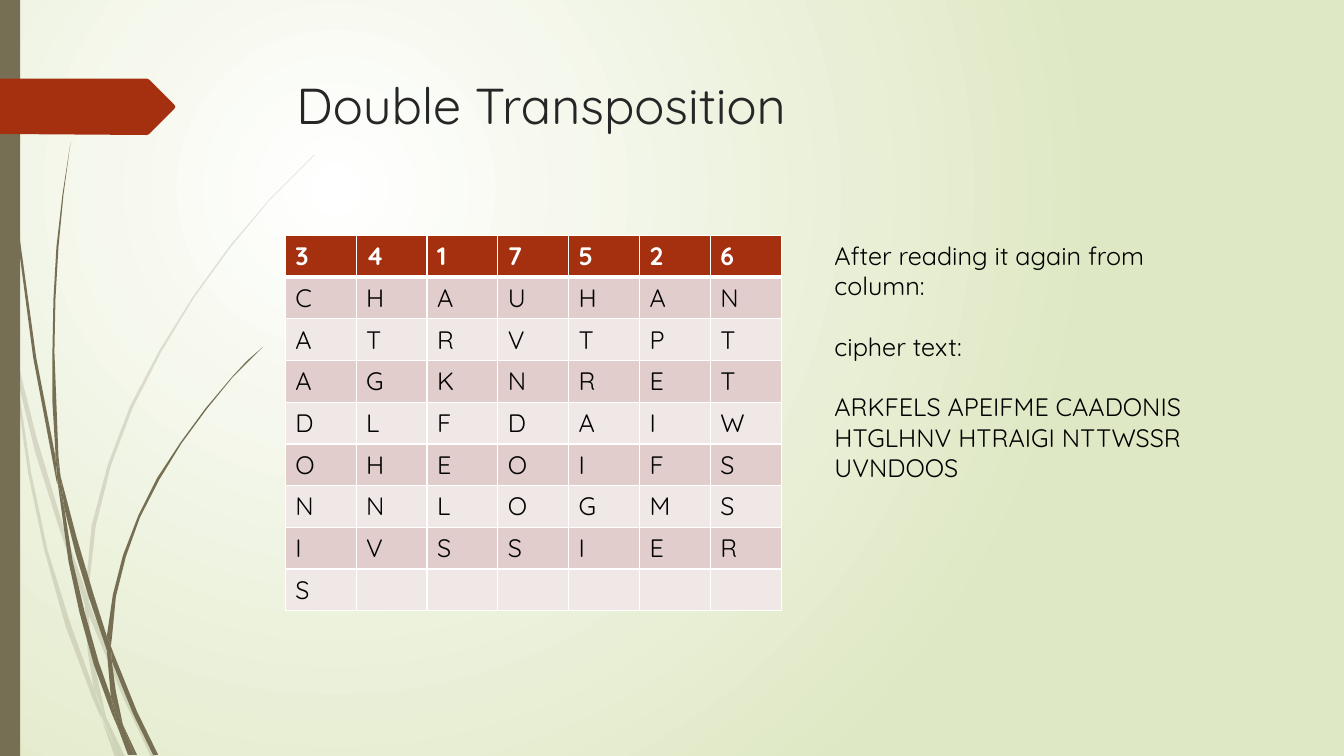
from lxml import etree
from pptx import Presentation
from pptx import util as u
from pptx.dml.color import RGBColor
from pptx.enum import shapes, text
from pptx.oxml import parse_xml
from pptx.oxml.ns import nsdecls, qn

GRID = u.Inches(0.1)  # side of one grid cell: a column and a row alike
COLUMNS, ROWS = 133.33, 75
FONT = "Quicksand"

WHITE = RGBColor(0xFF, 0xFF, 0xFF)
BLACK = RGBColor(0x00, 0x00, 0x00)
TITLE_GREY = RGBColor(0x26, 0x26, 0x26)
PALE_GREEN = RGBColor(0xDF, 0xE8, 0xC4)
OLIVE = RGBColor(0x76, 0x6F, 0x54)
RUST = RGBColor(0xA5, 0x30, 0x10)
BAND_DARK = RGBColor(0xE1, 0xCD, 0xCC)
BAND_LIGHT = RGBColor(0xF0, 0xE8, 0xE7)

# Outlines of the grass pieces: (column, row) corners
FAINT_GRASS = [
    [(1.1, 35), (0.9, 32.2), (0, 28.2), (0, 29.9), (1, 34.4)],
    [(5.8, 52.2), (8.4, 59.9), (8.5, 58.6), (6.2, 52), (3.6, 43.3),
     (1.4, 34.5), (1.7, 37.6), (3.5, 44.9)],
    [(9.2, 60.7), (8.8, 59.6), (8.8, 61), (12.3, 69.4), (15, 75.1),
     (15.5, 75.1), (12.7, 69.2)],
    [(11.9, 75.1), (12.4, 75.1), (10.5, 71.1)],
    [(9.3, 68.3), (7, 61.9), (4.7, 54.5), (3.1, 46.9), (1.7, 37.6), (1.1, 35),
     (2.8, 47), (4.4, 54.6), (6.5, 62.1), (9.2, 69.3), (10.1, 71.4), (9.9, 70.7)],
    [(8.4, 59.9), (8.7, 64.6), (9.3, 68.3), (10.5, 71.1), (9.1, 64.6),
     (8.8, 61), (8.8, 60.8)],
    [(8.8, 58.4), (9.5, 52.2), (11, 46.2), (13.2, 40.4), (16, 34.9),
     (19.2, 29.6), (22.9, 24.5), (26.8, 19.8), (31.2, 15.4), (31.2, 15.3),
     (26.8, 19.7), (22.8, 24.4), (19.1, 29.5), (15.8, 34.8), (12.9, 40.3),
     (10.7, 46.1), (9.1, 52.1), (8.5, 58.4), (8.8, 59.6)],
    [(10.1, 71.4), (11.4, 75.1), (11.9, 75.1)],
    [(8.8, 60.8), (8.8, 59.6), (8.5, 58.6), (8.4, 59.9)],
    [(9.6, 69.2), (9.3, 68.3), (9.9, 70.7), (11.9, 75.1), (10.5, 71.1)],
]
DARK_GRASS = [
    [(0.7, 11), (1.7, 23.3), (3.3, 35.5), (5.6, 47.7), (5.7, 48.1),
     (5.5, 45.3), (3.6, 35.5), (1.9, 23.2), (0.8, 10.9), (0.5, 4.8), (0.4, 0),
     (0.3, 0), (0.4, 4.8)],
    [(8.8, 59.2), (10.6, 64.5), (10.6, 63.1), (9.3, 59), (7.6, 53.3),
     (6, 47.2), (6.4, 50.5), (7.5, 54.9)],
    [(11.3, 64.9), (11, 64.1), (11.1, 65.6), (13.2, 70.8), (15.2, 74.9),
     (15.7, 74.9), (13.6, 70.6)],
    [(11, 69.1), (9.8, 65.7), (8.4, 60.7), (7.2, 55.6), (6.4, 50.5),
     (5.7, 47.7), (6.8, 55.7), (7.9, 60.8), (9.3, 65.9), (11.1, 70.8),
     (11.7, 72.2), (11.6, 71.7)],
    [(6, 47.2), (5.8, 45.3), (5.4, 34.9), (5.5, 29.7), (5.8, 24.5),
     (6.3, 19.3), (7, 14.1), (6.2, 19.3), (5.6, 24.5), (5.3, 29.7),
     (5.2, 34.9), (5.2, 39.9), (5.5, 44.9)],
    [(13.3, 74.9), (13.6, 74.9), (12.2, 71.9)],
    [(5.7, 47.7), (6.4, 50.5), (6, 47.2), (5.5, 44.9), (5.5, 45.3)],
    [(11.1, 63.3), (11.5, 59.2), (12.5, 55.2), (13.9, 51.3), (15.8, 47.6),
     (18, 44), (20.5, 40.6), (23.1, 37.4), (26.1, 34.4), (24.5, 35.8),
     (23.1, 37.3), (20.4, 40.5), (17.9, 43.9), (15.6, 47.4), (13.7, 51.2),
     (12.2, 55.1), (11.2, 59), (10.6, 63.1), (11, 64.1)],
    [(11.7, 72.2), (12.7, 74.9), (13.1, 74.9)],
    [(10.6, 64.5), (11, 69.1), (11.6, 70.6), (12.2, 71.9), (11.5, 68.6),
     (11.1, 65.6), (10.9, 65.1)],
    [(10.6, 64.5), (11.1, 65.6), (11, 64.1), (10.6, 63.1)],
    [(11.6, 70.6), (11, 69.1), (11.7, 72.2), (13, 74.9), (13.3, 74.9),
     (12.2, 71.9)],
]
ARROW = [(17.3, 10.8), (14.8, 13.3), (14.6, 13.4), (0, 13.3), (0, 7.8),
         (14.6, 7.8), (14.8, 7.9), (17.3, 10.4), (17.4, 10.6)]

CIPHER_ROWS = ["3417526", "CHAUHAN", "ATRVTPT", "AGKNRET", "DLFDAIW",
               "OHEOIFS", "NNLOGMS", "IVSSIER", "S"]
EXPLANATION = ["After reading it again from column:", "cipher text:",
               "ARKFELS APEIFME CAADONIS HTGLHNV HTRAIGI NTTWSSR UVNDOOS"]


def cells(*counts):
    """Turn counts of grid cells into lengths."""
    return [u.Emu(round(count * GRID)) for count in counts]


def write(frame, paragraphs, size=18, color=BLACK, bold=False, gap=0):
    """Fill a text frame; gap is the space in points between paragraphs."""
    frame.word_wrap = True
    for index, content in enumerate(paragraphs):
        paragraph = frame.paragraphs[0] if index == 0 else frame.add_paragraph()
        paragraph.alignment = text.PP_ALIGN.LEFT
        paragraph.space_before = u.Pt(gap if index else 0)
        run = paragraph.add_run()
        run.text = content
        run.font.name = FONT
        run.font.size = u.Pt(size)
        run.font.bold = bold
        run.font.color.rgb = color


class SlideBuilder:
    def __init__(self, presentation):
        self.slide = presentation.slides.add_slide(presentation.slide_layouts[5])
        self.shapes = self.slide.shapes

    def radial_background(self, inner, outer):
        self.slide.background.fill.solid()
        solid = next(self.slide.element.iter(qn("a:solidFill")))
        solid.getparent().replace(solid, parse_xml(
            f'<a:gradFill {nsdecls("a")} rotWithShape="1"><a:gsLst>'
            f'<a:gs pos="0"><a:srgbClr val="{inner}"/></a:gs>'
            f'<a:gs pos="100000"><a:srgbClr val="{outer}"/></a:gs></a:gsLst>'
            '<a:path path="circle"><a:fillToRect l="50000" t="50000" '
            'r="100000" b="100000"/></a:path></a:gradFill>'))

    def paint(self, shape, color, opacity=100):
        shape.shadow.inherit = False
        shape.fill.solid()
        shape.fill.fore_color.rgb = color
        shape.line.fill.background()
        if opacity < 100:
            tint = next(shape.element.spPr.iter(qn("a:srgbClr")))
            etree.SubElement(tint, qn("a:alpha"), val=str(opacity * 1000))

    def outline(self, corners, color, opacity=100):
        start, *others = [cells(*corner) for corner in corners]
        builder = self.shapes.build_freeform(*start)
        builder.add_line_segments(others, close=True)
        self.paint(builder.convert_to_shape(), color, opacity)

    def bar(self, box, color):
        kind = shapes.MSO_SHAPE.RECTANGLE
        self.paint(self.shapes.add_shape(kind, *cells(*box)), color)

    def title(self, content, box):
        title = self.shapes.title
        title.left, title.top, title.width, title.height = cells(*box)
        title.text_frame.vertical_anchor = text.MSO_ANCHOR.TOP
        title.text_frame.auto_size = text.MSO_AUTO_SIZE.NONE
        write(title.text_frame, [content], size=36, color=TITLE_GREY)

    def text_box(self, paragraphs, box, **style):
        write(self.shapes.add_textbox(*cells(*box)).text_frame, paragraphs, **style)

    def borders(self, cell, **widths):
        properties = cell._tc.get_or_add_tcPr()
        for side in "LRTB":
            properties.append(parse_xml(
                f'<a:ln{side} {nsdecls("a")} w="{u.Pt(widths.get(side, 1))}">'
                f'<a:solidFill><a:srgbClr val="{WHITE}"/></a:solidFill></a:ln{side}>'))

    def table(self, rows, box):
        """Draw one letter per cell under a header row of digits."""
        count = len(rows[0])
        table = self.shapes.add_table(len(rows), count, *cells(*box)).table
        for column in table.columns:
            column.width, = cells(box[2] / count)
        for index, letters in enumerate(rows):
            table.rows[index].height, = cells(box[3] / len(rows))
            header = index == 0
            band = RUST if header else BAND_DARK if index % 2 else BAND_LIGHT
            for column, letter in enumerate(letters.ljust(count)):
                cell = table.cell(index, column)
                self.borders(cell, B=3 if header else 1, T=3 if index == 1 else 1)
                cell.fill.solid()
                cell.fill.fore_color.rgb = band
                write(cell.text_frame, letter.split(), bold=header,
                      color=WHITE if header else BLACK)


def main():
    presentation = Presentation()
    presentation.slide_width, presentation.slide_height = cells(COLUMNS, ROWS)
    builder = SlideBuilder(presentation)
    builder.radial_background(WHITE, PALE_GREEN)
    for corners in FAINT_GRASS:
        builder.outline(corners, OLIVE, opacity=20)
    for corners in DARK_GRASS:
        builder.outline(corners, OLIVE)
    builder.bar((0, 0, 2, ROWS), OLIVE)
    builder.outline(ARROW, RUST)
    builder.title("Double Transposition", (28.4, 6.85, 97.5, 14))
    builder.table(CIPHER_ROWS, (28.3, 23.35, 49.2, 37.1))
    builder.text_box(EXPLANATION, (81.8, 23.33, 41.6, 25.2), gap=21.7)
    presentation.save("out.pptx")


if __name__ == "__main__":
    main()
